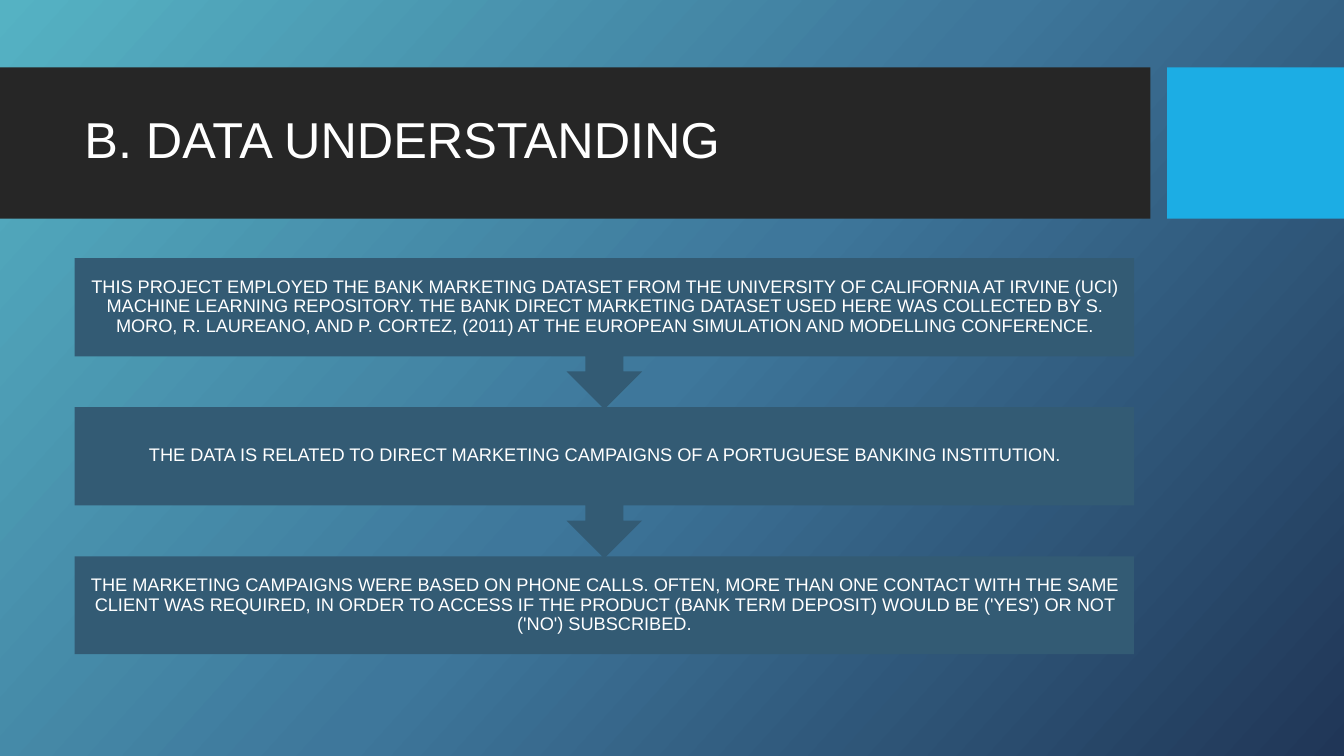
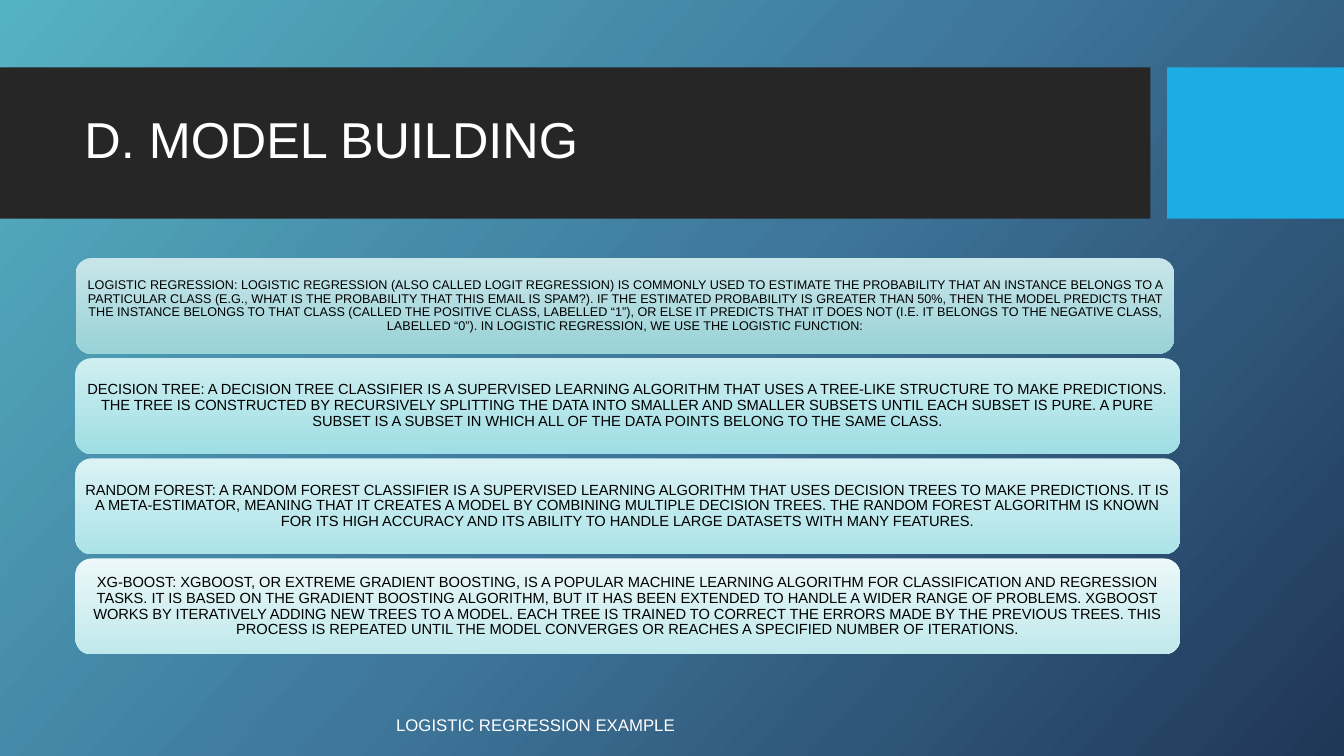
"""Build two slides on bank marketing data and the models trained on it."""
from dataclasses import dataclass
from typing import Any

from lxml import etree
from pptx import Presentation
from pptx import util as u
from pptx.dml.color import RGBColor
from pptx.enum import shapes, text
from pptx.oxml import ns

WIDE, HIGH = u.Inches(13.333), u.Inches(7.5)
FONT = "Arial"
WHITE = RGBColor(0xFF, 0xFF, 0xFF)
BLACK = RGBColor(0x00, 0x00, 0x00)
DARK = RGBColor(0x26, 0x26, 0x26)
SKY = RGBColor(0x1C, 0xAD, 0xE4)
SLATE = RGBColor(0x33, 0x5B, 0x74)
BACK = (RGBColor(0x55, 0xB2, 0xC3), RGBColor(0x3E, 0x77, 0x9B), RGBColor(0x20, 0x36, 0x57))
SHAPE = shapes.MSO_SHAPE
MID = text.MSO_ANCHOR.MIDDLE
LEFT, MIDST = text.PP_ALIGN.LEFT, text.PP_ALIGN.CENTER


@dataclass(frozen=True)
class Box:
    """Place and size in percent of the slide."""
    x: float
    y: float
    w: float
    h: float

    def area(self) -> tuple[u.Emu, u.Emu, u.Emu, u.Emu]:
        """Return left, top, width and height as lengths."""
        sides = ((self.x, WIDE), (self.y, HIGH), (self.w, WIDE), (self.h, HIGH))
        left, top, width, height = (u.Emu(round(part * full / 100)) for part, full in sides)
        return left, top, width, height


@dataclass(frozen=True)
class Style:
    """Look of a block of text."""
    size: float
    color: RGBColor = WHITE
    align: text.PP_ALIGN = MIDST
    inset: tuple[float, float] = (0.1, 0.1)
    lead: float = 0.9


@dataclass(frozen=True)
class Card:
    """Rounded card with a two-colour fade."""
    words: str
    fade: tuple[RGBColor, RGBColor]
    width: float = 82.2
    size: float = 10.5
    side: float = 0.05


BAND = Box(0, 8.93, 85.6, 20)
BLOCK = Box(86.85, 8.93, 13.15, 20)
TITLE = Box(5.55, 10.93, 78.83, 15.73)
NOTE = Box(28.73, 93.87, 26.85, 4)
TOP = 34.13
STEP_GAP, CARD_GAP = 19.73, 13.25
HEAD = Style(36, align=LEFT, inset=(0.1, 0.05))
STEP = Style(13)
FOOT = Style(12, align=LEFT, inset=(0.1, 0.05), lead=1)

STEPS = (
    "THIS PROJECT EMPLOYED THE BANK MARKETING DATASET FROM THE UNIVERSITY OF CALIFORNIA AT "
    "IRVINE (UCI) MACHINE LEARNING REPOSITORY. THE BANK DIRECT MARKETING DATASET USED HERE WAS "
    "COLLECTED BY S. MORO, R. LAUREANO, AND P. CORTEZ, (2011) AT THE EUROPEAN SIMULATION AND "
    "MODELLING CONFERENCE.",
    "THE DATA IS RELATED TO DIRECT MARKETING CAMPAIGNS OF A PORTUGUESE BANKING INSTITUTION.",
    "THE MARKETING CAMPAIGNS WERE BASED ON PHONE CALLS. OFTEN, MORE THAN ONE CONTACT WITH THE "
    "SAME CLIENT WAS REQUIRED, IN ORDER TO ACCESS IF THE PRODUCT (BANK TERM DEPOSIT) WOULD BE "
    "('YES') OR NOT ('NO') SUBSCRIBED.",
)

CARDS = (
    Card(
        "LOGISTIC REGRESSION: LOGISTIC REGRESSION (ALSO CALLED LOGIT REGRESSION) IS COMMONLY "
        "USED TO ESTIMATE THE PROBABILITY THAT AN INSTANCE BELONGS TO A PARTICULAR CLASS (E.G., "
        "WHAT IS THE PROBABILITY THAT THIS EMAIL IS SPAM?). IF THE ESTIMATED PROBABILITY IS "
        "GREATER THAN 50%, THEN THE MODEL PREDICTS THAT THE INSTANCE BELONGS TO THAT CLASS "
        "(CALLED THE POSITIVE CLASS, LABELLED “1”), OR ELSE IT PREDICTS THAT IT DOES NOT (I.E. "
        "IT BELONGS TO THE NEGATIVE CLASS, LABELLED “0”). IN LOGISTIC REGRESSION, WE USE THE "
        "LOGISTIC FUNCTION:",
        (RGBColor(0xC8, 0xE6, 0xE9), RGBColor(0x99, 0xD2, 0xD7)), 81.75, 9, 0.04),
    Card(
        "DECISION TREE: A DECISION TREE CLASSIFIER IS A SUPERVISED LEARNING ALGORITHM THAT USES "
        "A TREE-LIKE STRUCTURE TO MAKE PREDICTIONS. THE TREE IS CONSTRUCTED BY RECURSIVELY "
        "SPLITTING THE DATA INTO SMALLER AND SMALLER SUBSETS UNTIL EACH SUBSET IS PURE. A PURE "
        "SUBSET IS A SUBSET IN WHICH ALL OF THE DATA POINTS BELONG TO THE SAME CLASS.",
        (RGBColor(0xD0, 0xEF, 0xF1), RGBColor(0x9E, 0xDE, 0xE4))),
    Card(
        "RANDOM FOREST: A RANDOM FOREST CLASSIFIER IS A SUPERVISED LEARNING ALGORITHM THAT USES "
        "DECISION TREES TO MAKE PREDICTIONS. IT IS A META-ESTIMATOR, MEANING THAT IT CREATES A "
        "MODEL BY COMBINING MULTIPLE DECISION TREES. THE RANDOM FOREST ALGORITHM IS KNOWN FOR "
        "ITS HIGH ACCURACY AND ITS ABILITY TO HANDLE LARGE DATASETS WITH MANY FEATURES.",
        (RGBColor(0xDB, 0xF3, 0xF5), RGBColor(0xAC, 0xE3, 0xE8))),
    Card(
        "XG-BOOST: XGBOOST, OR EXTREME GRADIENT BOOSTING, IS A POPULAR MACHINE LEARNING "
        "ALGORITHM FOR CLASSIFICATION AND REGRESSION TASKS. IT IS BASED ON THE GRADIENT "
        "BOOSTING ALGORITHM, BUT IT HAS BEEN EXTENDED TO HANDLE A WIDER RANGE OF PROBLEMS. "
        "XGBOOST WORKS BY ITERATIVELY ADDING NEW TREES TO A MODEL. EACH TREE IS TRAINED TO "
        "CORRECT THE ERRORS MADE BY THE PREVIOUS TREES. THIS PROCESS IS REPEATED UNTIL THE "
        "MODEL CONVERGES OR REACHES A SPECIFIED NUMBER OF ITERATIONS.",
        (RGBColor(0xEC, 0xF8, 0xF9), RGBColor(0xC0, 0xE9, 0xEC))),
)


def blend(fill: Any, root: Any, tones: tuple[RGBColor, ...], angle: int) -> None:
    """Fill with evenly spaced tones, the angle running clockwise."""
    fill.gradient()
    fill.gradient_angle = 360 - angle
    stops = root.find(".//" + ns.qn("a:gsLst"))
    for stop in list(stops):
        stops.remove(stop)
    for rank, tone in enumerate(tones):
        place = round(100000 * rank / (len(tones) - 1))
        stop = etree.SubElement(stops, ns.qn("a:gs"), pos=str(place))
        etree.SubElement(stop, ns.qn("a:srgbClr"), val=str(tone))


def form(slide: Any, kind: SHAPE, box: Box, tone: RGBColor | None = None) -> Any:
    """Add a shape without line or shadow."""
    shape = slide.shapes.add_shape(kind, *box.area())
    shape.shadow.inherit = False
    shape.line.fill.background()
    if tone is not None:
        shape.fill.solid()
        shape.fill.fore_color.rgb = tone
    return shape


def write(shape: Any, words: str, style: Style) -> None:
    """Set one styled paragraph in a shape."""
    frame = shape.text_frame
    frame.word_wrap = True
    frame.vertical_anchor = MID
    frame.margin_left = frame.margin_right = u.Inches(style.inset[0])
    frame.margin_top = frame.margin_bottom = u.Inches(style.inset[1])
    para = frame.paragraphs[0]
    para.alignment = style.align
    para.line_spacing = style.lead
    run = para.add_run()
    run.text = words
    run.font.name = FONT
    run.font.size = u.Pt(style.size)
    run.font.color.rgb = style.color


def label(slide: Any, box: Box, words: str, style: Style) -> None:
    """Add a text box."""
    write(slide.shapes.add_textbox(*box.area()), words, style)


def start(deck: Any, title: str) -> Any:
    """Add a slide with its bands and title."""
    slide = deck.slides.add_slide(deck.slide_layouts[6])
    form(slide, SHAPE.RECTANGLE, BAND, DARK)
    form(slide, SHAPE.RECTANGLE, BLOCK, SKY)
    label(slide, TITLE, title, HEAD)
    return slide


def flow(slide: Any) -> None:
    """Draw the steps from last to first, each pointing to the next."""
    last = len(STEPS) - 1
    for rank in range(last, -1, -1):
        box = Box(TITLE.x, TOP + rank * STEP_GAP, TITLE.w, 12.93)
        if rank == last:
            write(form(slide, SHAPE.RECTANGLE, box, SLATE), STEPS[rank], STEP)
        else:
            call = form(slide, SHAPE.UP_ARROW_CALLOUT, Box(box.x, box.y, box.w, 20), SLATE)
            call.rotation = 180
            label(slide, box, STEPS[rank], STEP)


def stack(slide: Any) -> None:
    """Draw the model cards from top to bottom."""
    for rank, card in enumerate(CARDS):
        box = Box(5.62, TOP + rank * CARD_GAP, card.width, 12.67)
        shape = form(slide, SHAPE.ROUNDED_RECTANGLE, box)
        blend(shape.fill, shape.element, card.fade, 90)
        write(shape, card.words, Style(card.size, BLACK, inset=(card.side, 0.02)))


def main() -> None:
    """Build and save the deck."""
    deck = Presentation()
    deck.slide_width, deck.slide_height = WIDE, HIGH
    base = deck.slide_master
    blend(base.background.fill, base.element, BACK, 42)
    flow(start(deck, "B. DATA UNDERSTANDING"))
    models = start(deck, "D. MODEL BUILDING")
    stack(models)
    label(models, NOTE, "LOGISTIC REGRESSION EXAMPLE", FOOT)
    deck.save("out.pptx")


if __name__ == "__main__":
    main()
